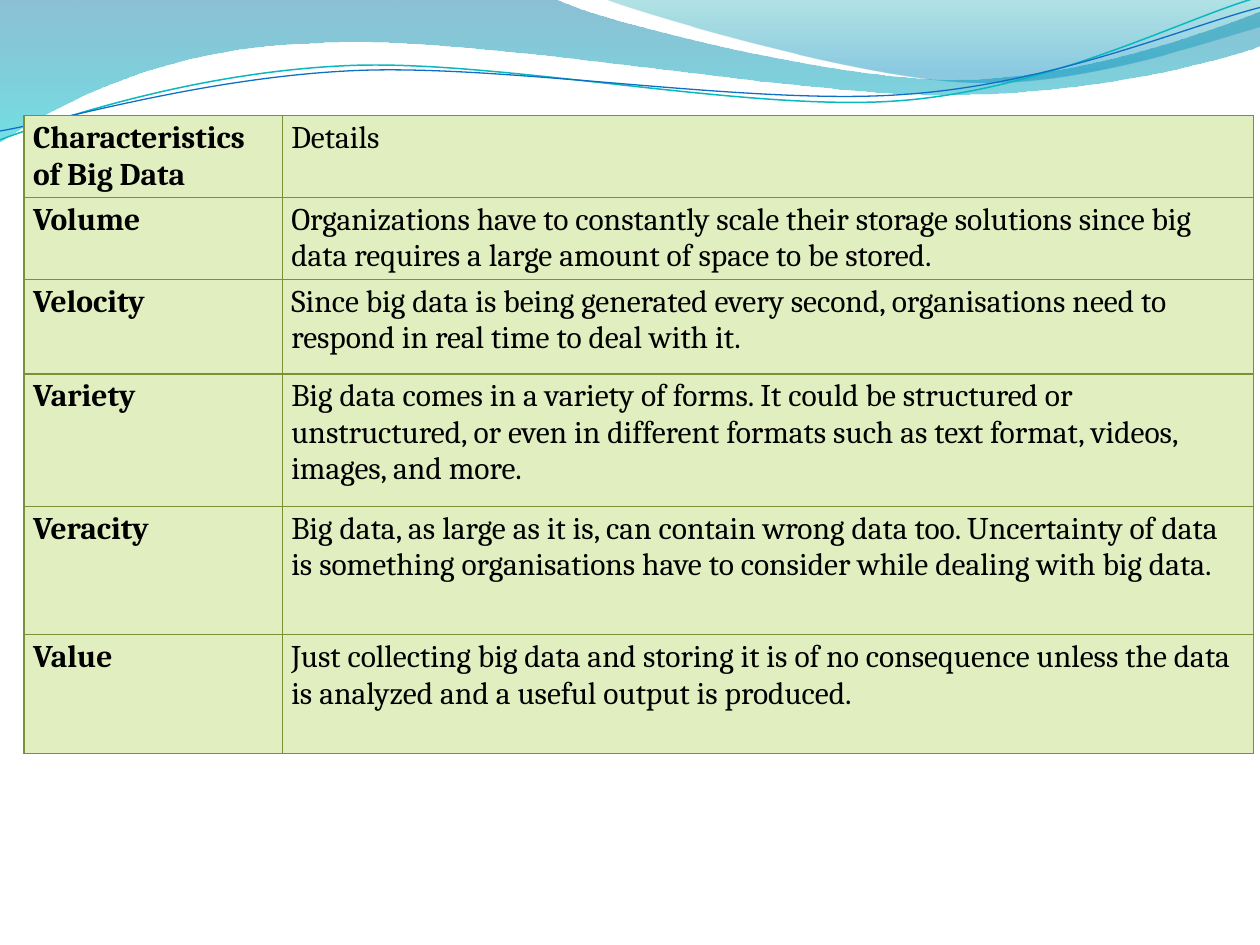
import math

import pptx
import pptx.util
import pptx.dml.color
import pptx.oxml
import pptx.oxml.ns

Inches, Pt = pptx.util.Inches, pptx.util.Pt
qn = pptx.oxml.ns.qn
COLORS = {
    "text": "000000", "cell": "E1EEC0", "border": "7B9135",
    "teal": "0AB8BF", "blue": "0F6FC6",
}
TILT = 357.3  # degrees, for the two thin lines

# Waves: a start, then points to reach (2 numbers) or curves (6 numbers)
BAND = [(0, 0), (4.4, -0.01), (4.76, 0.17, 6.64, 0.63, 7.58, 0.63),
        (8.53, 0.63, 9.58, 0.26, 10, 0.09), (10.01, 0.36),
        (9.83, 0.44, 8.7, 0.76, 7.46, 0.75), (6.22, 0.75, 3.82, 0.28, 2.57, 0.34),
        (1.29, 0.36, 0.46, 0.83, -0.01, 1.13)]
CREST = [(4.79, -0.01), (5.09, 0.11, 6.82, 0.62, 7.69, 0.65),
         (8.56, 0.69, 9.61, 0.32, 10, 0.21), (10, 0)]
UPPER = [(0, 1.11), (0.48, 0.93, 1.58, 0.57, 2.77, 0.52),
         (3.95, 0.47, 5.93, 0.89, 7.13, 0.8), (8.33, 0.71, 9.38, 0.15, 9.98, -0.02)]
LOWER = [(0, 1.04), (0.47, 0.96, 1.64, 0.61, 2.83, 0.56),
         (4.03, 0.51, 5.97, 0.84, 7.17, 0.75), (8.36, 0.67, 9.41, 0.21, 10, 0.06)]

# Gradient stops: position, colour, opacity in percent
BAND_FADE = [(0, "0074A1", 45), (100, "00C6CF", 55)]
CREST_FADE = [(0, "00A1A9", 30), (80, "008BBF", 45)]

COLS = [2.05, 7.71]
ROWS = [
    (0.41, "Characteristics of Big Data", "Details"),
    (0.59, "Volume", "Organizations have to constantly scale their storage solutions "
     "since big data requires a large amount of space to be stored."),
    (0.75, "Velocity", "Since big data is being generated every second, organisations "
     "need to respond in real time to deal with it."),
    (1.05, "Variety", "Big data comes in a variety of forms. It could be structured or "
     "unstructured, or even in different formats such as text format, videos, images, "
     "and more."),
    (1.02, "Veracity", "Big data, as large as it is, can contain wrong data too. "
     "Uncertainty of data is something organisations have to consider while dealing "
     "with big data."),
    (0.94, "Value", "Just collecting big data and storing it is of no consequence unless "
     "the data is analyzed and a useful output is produced."),
]


def color(name):
    return pptx.dml.color.RGBColor.from_string(COLORS[name])


def element(xml):
    return pptx.oxml.parse_xml(xml.replace(">", " %s>" % pptx.oxml.ns.nsdecls("a"), 1))


def turn(points, center, angle):
    """Rotate points clockwise about a center."""
    cos, sin = math.cos(math.radians(angle)), math.sin(math.radians(angle))
    mid_x, mid_y = center
    return [(mid_x + (x - mid_x) * cos - (y - mid_y) * sin,
             mid_y + (x - mid_x) * sin + (y - mid_y) * cos) for x, y in points]


def add_curve(shapes, route, close, center=(0, 0), angle=0):
    points = [part[i:i + 2] for part in route for i in range(0, len(part), 2)]
    first, *rest = [(Inches(x), Inches(y)) for x, y in turn(points, center, -angle)]
    pen = shapes.build_freeform(*first)
    pen.add_line_segments(rest, close=close)
    shape = pen.convert_to_shape()
    # Join each three points of a curve into one Bezier segment
    outline = shape.element.find(".//" + qn("a:path"))
    lines = iter(outline.findall(qn("a:lnTo")))
    for part in route[1:]:
        trio = [next(lines) for _ in range(len(part) // 2)]
        if len(trio) == 3:
            curve = element("<a:cubicBezTo></a:cubicBezTo>")
            trio[0].addprevious(curve)
            for line in trio:
                curve.append(line[0])
                outline.remove(line)
    shape.rotation = angle
    shape.shadow.inherit = False
    shape.fill.background()
    return shape


def add_wave(slide, route, fade):
    shape = add_curve(slide.shapes, route, True)
    shape.line.fill.background()
    stops = "".join(
        f'<a:gs pos="{pos * 1000}"><a:srgbClr val="{tone}">'
        f'<a:alpha val="{alpha * 1000}"/></a:srgbClr></a:gs>'
        for pos, tone, alpha in fade)
    grad = element(f'<a:gradFill rotWithShape="1"><a:gsLst>{stops}</a:gsLst>'
                   '<a:lin ang="5400000" scaled="0"/></a:gradFill>')
    blank = shape.element.spPr.find(qn("a:noFill"))
    blank.getparent().replace(blank, grad)


def add_stroke(group, route, center, tone, width):
    shape = add_curve(group.shapes, route, False, center, TILT)
    shape.line.color.rgb = color(tone)
    shape.line.width = Pt(width)


def fill_cell(cell, text, bold):
    cell.text = text
    cell.margin_left = cell.margin_right = Pt(5.2)
    cell.margin_top = cell.margin_bottom = Pt(2.6)
    font = cell.text_frame.paragraphs[0].font
    font.name, font.size, font.bold = "Cambria", Pt(18), bold
    font.color.rgb = color("text")
    cell.fill.solid()
    cell.fill.fore_color.rgb = color("cell")
    # Borders come before the fill in the cell's properties
    props = cell._tc.get_or_add_tcPr()
    for spot, side in enumerate("LRTB"):
        props.insert(spot, element(
            f'<a:ln{side} w="{Pt(0.75)}"><a:solidFill>'
            f'<a:srgbClr val="{COLORS["border"]}"/></a:solidFill></a:ln{side}>'))


def add_grid(slide, left, top, height):
    frame = slide.shapes.add_table(
        len(ROWS), len(COLS), Inches(left), Inches(top),
        Inches(sum(COLS)), Inches(height))
    table = frame.table
    table.horz_banding = False
    for col, width in zip(table.columns, COLS):
        col.width = Inches(width)
    for r, (tall, *texts) in enumerate(ROWS):
        table.rows[r].height = Inches(tall)
        for c, text in enumerate(texts):
            fill_cell(table.cell(r, c), text, bold=c == 0)
    frame.height = Inches(height)


def main():
    deck = pptx.Presentation()
    deck.slide_width, deck.slide_height = Inches(10), Inches(7.5)
    slide = deck.slides.add_slide(deck.slide_layouts[6])
    # Waves along the top
    add_wave(slide, BAND, BAND_FADE)
    add_wave(slide, CREST, CREST_FADE)
    group = slide.shapes.add_group_shape()
    add_stroke(group, UPPER, (4.99, 0.58), "teal", 0.85)
    add_stroke(group, LOWER, (5, 0.59), "blue", 0.75)
    # Table of characteristics
    add_grid(slide, 0.19, 0.92, 5.12)
    deck.save("out.pptx")


if __name__ == "__main__":
    main()
